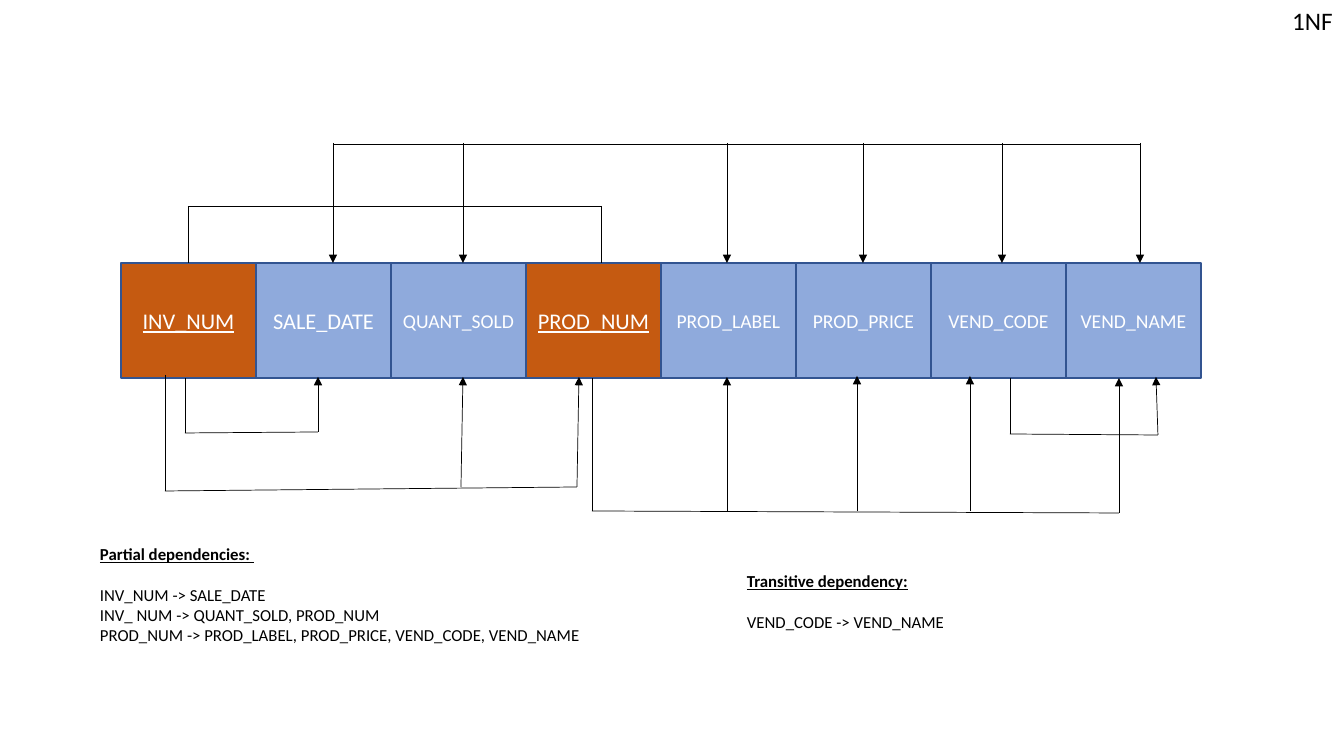
from itertools import pairwise

from pptx import Presentation
from pptx import util as u
from pptx.dml.color import RGBColor
from pptx.enum import shapes, text
from pptx.oxml import parse_xml
from pptx.oxml.ns import nsdecls, qn

EMU_PER_PIXEL = 914400 / 100.8
BLACK, WHITE = "000000", "FFFFFF"
KEY_FILL, FIELD_FILL, FIELD_LINE = "C55A11", "8FAADC", "325491"

FIELD_LEFT, FIELD_WIDTH = 121, 135
FIELD_TOP, FIELD_HEIGHT = 263, 115
# Name, text size, part of the key
FIELDS = [
    ("INV_NUM", 16, True),
    ("SALE_DATE", 16, False),
    ("QUANT_SOLD", 14, False),
    ("PROD_NUM", 16, True),
    ("PROD_LABEL", 14, False),
    ("PROD_PRICE", 14, False),
    ("VEND_CODE", 14, False),
    ("VEND_NAME", 14, False),
]

KEY_BRACKET = [(188, 263), (188, 206), (601, 206), (601, 263)]
FULL_BUS = [(333, 144), (1140, 144)]
FULL_TARGETS = [333, 463, 727, 863, 1002, 1140]
DEPENDENCY_PATHS = [
    [(185, 378), (185, 433), (318, 432), (318, 377)],
    [(165, 375), (165, 491), (577, 487), (579, 377)],
    [(461, 487), (463, 377)],
    [(592, 378), (592, 511), (1119, 513), (1119, 378)],
    [(727, 512), (727, 377)],
    [(857, 511), (857, 376)],
    [(970, 511), (970, 376)],
    [(1010, 378), (1010, 434), (1158, 435), (1156, 377)],
]


def px(pixels):
    return u.Emu(round(pixels * EMU_PER_PIXEL))


def color(value):
    return RGBColor.from_string(value)


def write(paragraph, words, size=12, fill=BLACK, bold=False, underline=False,
          align=text.PP_ALIGN.LEFT, after=0):
    paragraph.alignment = align
    paragraph.space_after = u.Pt(after)
    run = paragraph.add_run()
    run.text = words
    run.font.name = "Calibri"
    run.font.size = u.Pt(size)
    run.font.bold = bold
    run.font.underline = underline
    run.font.color.rgb = color(fill)


def add_title(slide, words):
    title = slide.shapes.title
    title.left, title.top, title.width, title.height = map(px, (1282, 0, 62, 40))
    frame = title.text_frame
    frame.word_wrap = False
    frame.auto_size = text.MSO_AUTO_SIZE.NONE
    frame.vertical_anchor = text.MSO_ANCHOR.TOP
    paragraph = frame.paragraphs[0]
    paragraph.line_spacing = 1.0
    paragraph.space_before = u.Pt(0)
    write(paragraph, words, size=18)


def add_field(slide, index, name, size, is_key):
    shape = slide.shapes.add_shape(
        shapes.MSO_SHAPE.RECTANGLE, px(FIELD_LEFT + index * FIELD_WIDTH),
        px(FIELD_TOP), px(FIELD_WIDTH), px(FIELD_HEIGHT))
    shape.shadow.inherit = False
    shape.fill.solid()
    shape.fill.fore_color.rgb = color(KEY_FILL if is_key else FIELD_FILL)
    shape.line.color.rgb = color(FIELD_LINE)
    shape.line.width = u.Pt(1)
    shape.text_frame.vertical_anchor = text.MSO_ANCHOR.MIDDLE
    write(shape.text_frame.paragraphs[0], name, size=size, fill=WHITE,
          underline=is_key, align=text.PP_ALIGN.CENTER)


def add_line(slide, start, end, arrow=False):
    connector = slide.shapes.add_connector(
        shapes.MSO_CONNECTOR.STRAIGHT, *map(px, start + end))
    connector.line.color.rgb = color(BLACK)
    connector.line.width = u.Pt(0.5)
    properties = connector._element.spPr
    if arrow:
        properties.find(qn("a:ln")).append(
            parse_xml(f'<a:tailEnd {nsdecls("a")} type="triangle"/>'))
    properties.append(parse_xml(f'<a:effectLst {nsdecls("a")}/>'))


def add_path(slide, points, arrow=True):
    """Join the points with straight lines; only the last one gets an arrowhead."""
    for start, end in pairwise(points):
        add_line(slide, start, end, arrow and end == points[-1])


def add_note(slide, box, heading, dependencies):
    frame = slide.shapes.add_textbox(*map(px, box)).text_frame
    frame.word_wrap = True
    write(frame.paragraphs[0], heading, bold=True, underline=True, after=14.5)
    for dependency in dependencies:
        write(frame.add_paragraph(), dependency)


def main():
    presentation = Presentation()
    presentation.slide_width = px(1344)
    presentation.slide_height = px(756)
    slide = presentation.slides.add_slide(presentation.slide_layouts[5])
    add_title(slide, "1NF")

    # Relation fields
    for index, field in enumerate(FIELDS):
        add_field(slide, index, *field)

    # Composite key and the fields it determines
    add_path(slide, KEY_BRACKET, arrow=False)
    add_path(slide, FULL_BUS, arrow=False)
    for x in FULL_TARGETS:
        add_path(slide, [(x, 143), (x, FIELD_TOP)])

    # Partial and transitive dependencies
    for points in DEPENDENCY_PATHS:
        add_path(slide, points)

    # Notes
    add_note(slide, (90, 539, 570, 132), "Partial dependencies: ", [
        "INV_NUM -> SALE_DATE",
        "INV_ NUM -> QUANT_SOLD, PROD_NUM",
        "PROD_NUM -> PROD_LABEL, PROD_PRICE, VEND_CODE, VEND_NAME",
    ])
    add_note(slide, (737, 566, 276, 92), "Transitive dependency:",
             ["VEND_CODE -> VEND_NAME"])

    presentation.save("out.pptx")


main()
